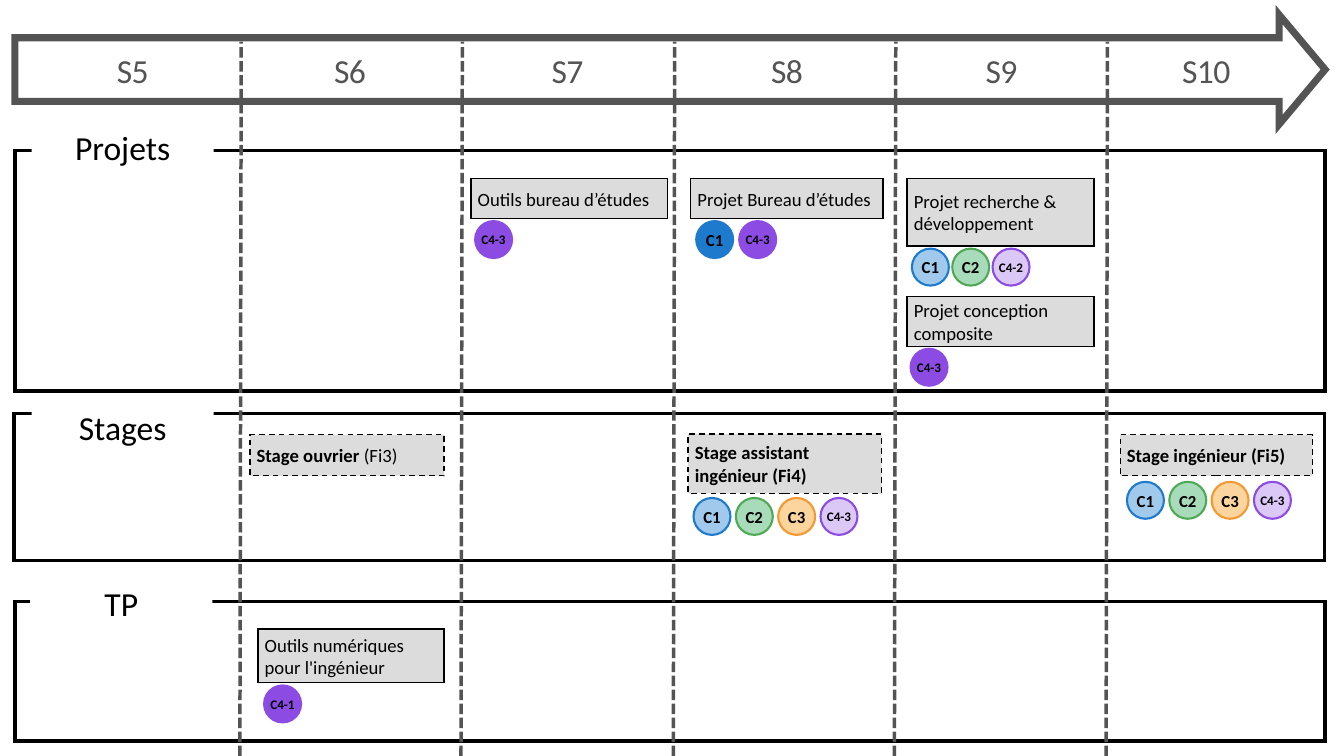
from lxml import etree
from pptx import Presentation
from pptx.dml.color import RGBColor
from pptx.enum.dml import MSO_LINE
from pptx.enum.shapes import MSO_CONNECTOR, MSO_SHAPE
from pptx.enum.text import MSO_ANCHOR, MSO_AUTO_SIZE, PP_ALIGN
from pptx.oxml.ns import qn
from pptx.util import Inches, Pt

BLACK = RGBColor(0x00, 0x00, 0x00)
WHITE = RGBColor(0xFF, 0xFF, 0xFF)
DARK_GRAY = RGBColor(0x54, 0x54, 0x54)
LIGHT_GRAY = RGBColor(0xDD, 0xDC, 0xDC)
BLUE = RGBColor(0x1E, 0x7A, 0xCC)
LIGHT_BLUE = RGBColor(0xA0, 0xC9, 0xEB)
GREEN = RGBColor(0x4F, 0xA9, 0x54)
LIGHT_GREEN = RGBColor(0xA8, 0xDB, 0xBA)
ORANGE = RGBColor(0xF4, 0x98, 0x31)
LIGHT_ORANGE = RGBColor(0xFB, 0xD4, 0x9E)
PURPLE = RGBColor(0x8C, 0x4B, 0xE2)

presentation = Presentation()
presentation.slide_width = Inches(20)
presentation.slide_height = Inches(11.25)
slide = presentation.slides.add_slide(presentation.slide_layouts[6])


def add_box(kind, left, top, width, height, fill=None, line=None, weight=0, dash=None):
    shape = slide.shapes.add_shape(
        kind, Inches(left), Inches(top), Inches(width), Inches(height))
    shape.shadow.inherit = False
    if fill is None:
        shape.fill.background()
    else:
        shape.fill.solid()
        shape.fill.fore_color.rgb = fill
    if line is None:
        shape.line.fill.background()
    else:
        shape.line.color.rgb = line
        shape.line.width = Pt(weight)
        if dash:
            shape.line.dash_style = dash
        # Sharp corners
        outline = shape._element.spPr.find(qn("a:ln"))
        etree.SubElement(outline, qn("a:miter")).set("lim", "800000")
    return shape


def write_text(shape, runs, size, color, align, anchor, bold=None):
    """Fill the shape with one paragraph; runs are (text, bold) pairs."""
    frame = shape.text_frame
    frame.word_wrap = True
    frame.vertical_anchor = anchor
    paragraph = frame.paragraphs[0]
    paragraph.alignment = align
    paragraph.font.name = "Calibri"
    paragraph.font.size = Pt(size)
    paragraph.font.color.rgb = color
    paragraph.font.bold = bold
    for text, run_bold in runs:
        run = paragraph.add_run()
        run.text = text
        if run_bold is not None:
            run.font.bold = run_bold
    return paragraph


# Timeline arrow
arrow = add_box(MSO_SHAPE.RIGHT_ARROW, 0.22, 0.22, 19.5, 1.63, None, DARK_GRAY, 7.5)
arrow.adjustments[0] = 0.58
arrow.adjustments[1] = 0.42

# Section frames
for left, top, height in [(0.22, 8.95, 2.08), (0.22, 2.24, 3.58), (0.21, 6.15, 2.19)]:
    add_box(MSO_SHAPE.RECTANGLE, left, top, 19.5, height, None, BLACK, 3.75)

# Semester separators
for x in [3.57, 6.86, 10.02, 13.31, 16.46]:
    separator = slide.shapes.add_connector(
        MSO_CONNECTOR.STRAIGHT, Inches(x), Inches(11.25), Inches(x + 0.02), Inches(0.62))
    separator.line.color.rgb = DARK_GRAY
    separator.line.width = Pt(3.75)
    separator.line.dash_style = MSO_LINE.SQUARE_DOT
    etree.SubElement(separator._element.spPr, qn("a:effectLst"))

# Semester names
semesters = [("S5", 0.39, 3.17), ("S6", 3.56, 3.3), ("S7", 6.86, 3.17),
             ("S8", 10.1, 3.22), ("S9", 13.33, 3.15), ("S10", 16.47, 2.96)]
for name, left, width in semesters:
    box = slide.shapes.add_textbox(Inches(left), Inches(0.7), Inches(width), Inches(0.63))
    frame = box.text_frame
    frame.margin_left = frame.margin_right = frame.margin_top = frame.margin_bottom = 0
    paragraph = write_text(box, [(name, None)], 36, DARK_GRAY, PP_ALIGN.CENTER, MSO_ANCHOR.TOP)
    paragraph.line_spacing = Pt(46.8)
    paragraph.runs[0]._r.get_or_add_rPr().set("spc", "-70")
    frame.auto_size = MSO_AUTO_SIZE.SHAPE_TO_FIT_TEXT

# Section titles, covering part of the frame
titles = [("TP", 0.45, 8.62, MSO_ANCHOR.TOP), ("Projets", 0.47, 1.88, MSO_ANCHOR.MIDDLE),
          ("Stages", 0.47, 6.01, MSO_ANCHOR.TOP)]
for title, left, top, anchor in titles:
    shape = add_box(MSO_SHAPE.RECTANGLE, left, top, 2.71, 0.61, WHITE)
    write_text(shape, [(title, None)], 36, BLACK, PP_ALIGN.CENTER, anchor)

# Activities: box, runs, dash, then left, top and step of the skill badges
DASH = MSO_LINE.DASH
activities = [
    ((7.01, 2.66, 2.92, 0.59), [("Outils bureau d’études", None)], None,
     (7.07, 3.29, 0), ["C4-3"]),
    ((3.84, 9.36, 2.77, 0.8), [("Outils numériques pour l'ingénieur", None)], None,
     (3.93, 10.2, 0), ["C4-1"]),
    ((10.28, 2.66, 2.86, 0.59), [("Projet Bureau d’études", None)], None,
     (10.36, 3.29, 0.64), ["C1", "C4-3"]),
    ((13.5, 2.66, 2.78, 1), [("Projet recherche & développement", None)], None,
     (13.57, 3.7, 0.6), ["C1 light", "C2 light", "C4-2 light"]),
    ((13.5, 4.41, 2.78, 0.75), [("Projet conception composite", None)], None,
     (13.55, 5.19, 0), ["C4-3"]),
    ((3.72, 6.47, 2.89, 0.61), [("Stage ouvrier ", True), ("(Fi3)", False)], DASH,
     (0, 0, 0), []),
    ((10.24, 6.46, 2.88, 0.88), [("Stage assistant ingénieur (Fi4)", True)], DASH,
     (10.32, 7.41, 0.63), ["C1 light", "C2 light", "C3 light", "C4-3 light"]),
    ((16.67, 6.47, 2.86, 0.61), [("Stage ingénieur (Fi5)", True)], DASH,
     (16.77, 7.17, 0.63), ["C1 light", "C2 light", "C3 light", "C4-3 light"]),
]
# Skill family: line, light fill, text size
skills = {
    "C1": (BLUE, LIGHT_BLUE, 18),
    "C2": (GREEN, LIGHT_GREEN, 18),
    "C3": (ORANGE, LIGHT_ORANGE, 18),
    "C4": (PURPLE, PURPLE, 14),
}
for bounds, runs, dash, (badge_left, badge_top, step), badges in activities:
    shape = add_box(MSO_SHAPE.RECTANGLE, *bounds, LIGHT_GRAY, BLACK, 1.5, dash)
    write_text(shape, runs, 20, BLACK, PP_ALIGN.LEFT, MSO_ANCHOR.MIDDLE)

    for index, badge in enumerate(badges):
        label, _, light = badge.partition(" ")
        line, light_fill, size = skills[label[:2]]
        circle = add_box(MSO_SHAPE.OVAL, badge_left + index * step, badge_top, 0.55, 0.55,
                         light_fill if light else line, line, 2.25)
        if light and light_fill == PURPLE:
            color = circle._element.spPr.find(qn("a:solidFill"))[0]
            etree.SubElement(color, qn("a:alpha")).set("val", "30000")
        frame = circle.text_frame
        frame.margin_left = frame.margin_right = frame.margin_top = frame.margin_bottom = 0
        write_text(circle, [(label, None)], size, BLACK, PP_ALIGN.CENTER,
                   MSO_ANCHOR.MIDDLE, True)

presentation.save("out.pptx")
